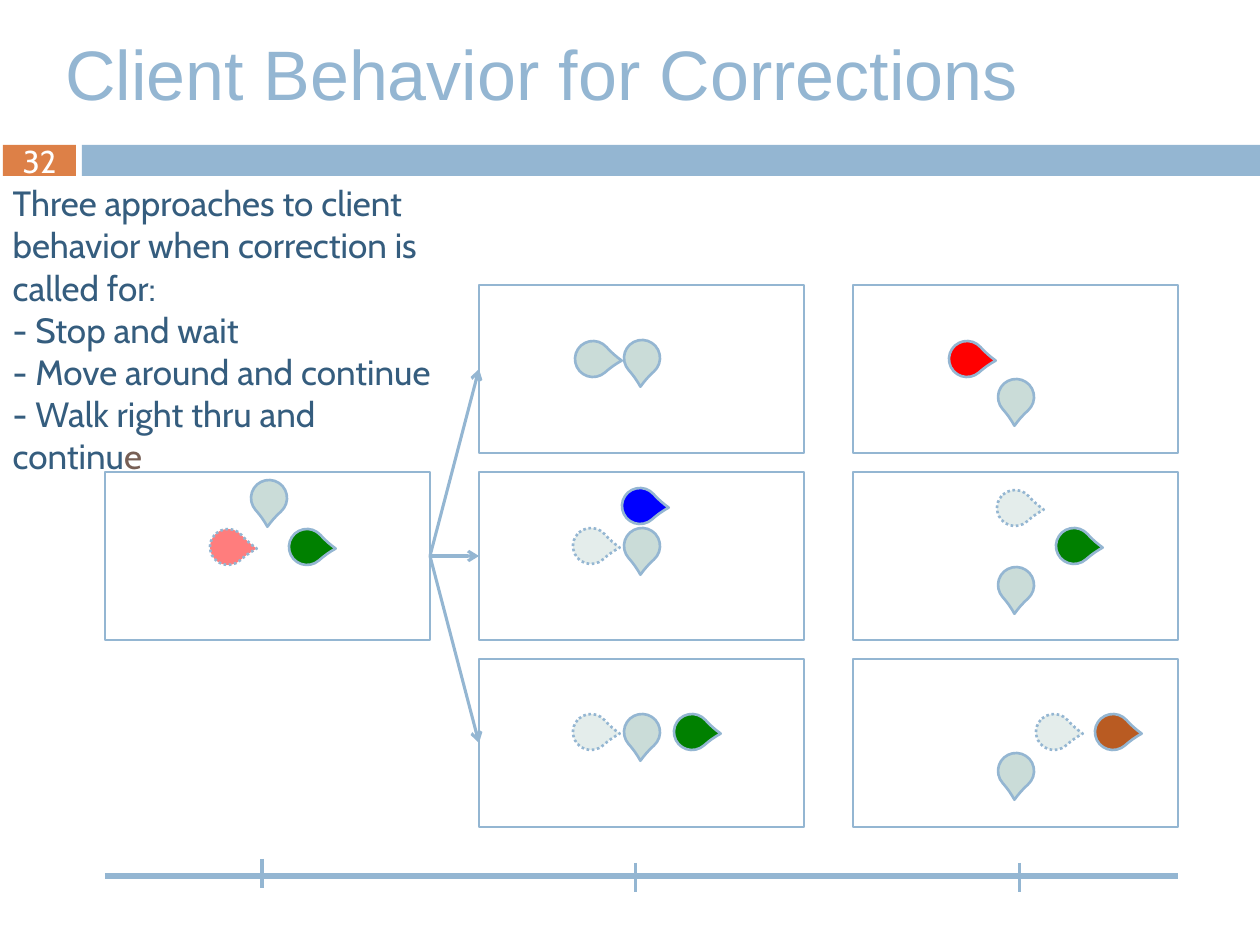
from lxml.etree import SubElement
from pptx import Presentation
from pptx.dml.color import RGBColor
from pptx.enum.dml import MSO_LINE
from pptx.enum.shapes import MSO_CONNECTOR, MSO_SHAPE
from pptx.enum.text import MSO_ANCHOR, MSO_AUTO_SIZE, PP_ALIGN
from pptx.oxml.ns import qn
from pptx.util import Emu, Pt

PX = 914400 / 126

BLUE = RGBColor(0x94, 0xB6, 0xD2)
ORANGE = RGBColor(0xDD, 0x80, 0x47)
WHITE = RGBColor(0xFF, 0xFF, 0xFF)
NAVY = RGBColor(0x35, 0x5D, 0x7E)
UMBER = RGBColor(0x77, 0x5F, 0x55)
PALE = RGBColor(0xCA, 0xDC, 0xD8)
RED = RGBColor(0xFF, 0x00, 0x00)
GREEN = RGBColor(0x00, 0x80, 0x00)
PURE_BLUE = RGBColor(0x00, 0x00, 0xFF)
BROWN = RGBColor(0xB9, 0x5B, 0x22)

HEADING = "Client Behavior for Corrections"
APPROACHES = "\v".join([
    "Three approaches to client behavior when correction is called for:",
    "- Stop and wait",
    "- Move around and continue",
    "- Walk right thru and continu",
])
LAST_LETTER = "e"

# Heading of a person, as the rotation of the teardrop
RIGHT, DOWN = 48.2, 138.2
# (column, row): people as (x, y in the panel, heading, colour, opacity %)
PANELS = {
    (0, 1): [(184, 57, RIGHT, GREEN, 100), (105, 57, RIGHT, RED, 51),
             (146, 8, DOWN, PALE, 100)],
    (1, 0): [(96, 56, RIGHT, PALE, 100), (145, 55, DOWN, PALE, 100)],
    (2, 0): [(96, 56, RIGHT, RED, 100), (145, 94, DOWN, PALE, 100)],
    (1, 1): [(145, 56, DOWN, PALE, 100), (143, 16, RIGHT, PURE_BLUE, 100),
             (94, 56, RIGHT, PALE, 50)],
    (2, 1): [(145, 95, DOWN, PALE, 100), (144, 18, RIGHT, PALE, 50),
             (203, 56, RIGHT, GREEN, 100)],
    (1, 2): [(145, 55, DOWN, PALE, 100), (195, 55, RIGHT, GREEN, 100),
             (94, 55, RIGHT, PALE, 50)],
    (2, 2): [(145, 94, DOWN, PALE, 100), (183, 55, RIGHT, PALE, 50),
             (242, 55, RIGHT, BROWN, 100)],
}
LEFT, TOP, STEP_X, STEP_Y = 105, 285, 374, 187
PANEL_W, PANEL_H = 325, 168
PERSON = 36
TIMELINE_Y = 876
TICKS = [(262, 859), (636, 863), (1020, 863)]
TICK_H = 29


def px(*values):
    return [Emu(round(v * PX)) for v in values]


def add_box(s, kind, x, y, w, h, fill=None, line_width=None):
    sp = s.shapes.add_shape(kind, *px(x, y, w, h))
    sp.shadow.inherit = False
    if fill is None:
        sp.fill.background()
    else:
        sp.fill.solid()
        sp.fill.fore_color.rgb = fill
    if line_width is None:
        sp.line.fill.background()
    else:
        sp.line.color.rgb = BLUE
        sp.line.width = Pt(line_width)
    return sp


def add_person(s, x, y, heading, color, opacity):
    sp = add_box(s, MSO_SHAPE.TEAR, x, y, PERSON, PERSON, color, 1.5)
    sp.adjustments[0] = 1.13
    sp.rotation = heading
    if opacity < 100:
        sp.line.dash_style = MSO_LINE.ROUND_DOT
        clr = sp.fill._xPr.find(qn("a:solidFill"))[0]
        SubElement(clr, qn("a:alpha"), val=str(opacity * 1000))


def add_line(s, x1, y1, x2, y2, width, arrow=False):
    cn = s.shapes.add_connector(MSO_CONNECTOR.STRAIGHT, *px(x1, y1, x2, y2))
    cn.line.color.rgb = BLUE
    cn.line.width = Pt(width)
    if arrow:
        SubElement(cn.line._get_or_add_ln(), qn("a:tailEnd"), type="arrow")
    SubElement(cn._element.spPr, qn("a:effectLst"))


def set_text(sp, text, font, size, color, align=PP_ALIGN.LEFT):
    """Fill the shape with one middle-anchored paragraph and return it."""
    tf = sp.text_frame
    tf.word_wrap = True
    tf.auto_size = MSO_AUTO_SIZE.NONE
    tf.vertical_anchor = MSO_ANCHOR.MIDDLE
    p = tf.paragraphs[0]
    p.text = text
    p.alignment = align
    for r in p.runs:
        style_run(r, font, size, color)
    return p


def style_run(r, font, size, color):
    r.font.name = font
    r.font.size = Pt(size)
    r.font.color.rgb = color


def main():
    prs = Presentation()
    prs.slide_width, prs.slide_height = px(1260, 945)
    s = prs.slides.add_slide(prs.slide_layouts[5])

    title = s.shapes.title
    title.left, title.top, title.width, title.height = px(0, 155, 461, 348)
    p = set_text(title, APPROACHES, "Cabin", 20, NAVY)
    r = p.add_run()
    r.text = LAST_LETTER
    style_run(r, "Cabin", 20, UMBER)

    heading = s.shapes.add_textbox(*px(53, 0, 1134, 145))
    set_text(heading, HEADING, "Arial", 40, BLUE)

    number = add_box(s, MSO_SHAPE.RECTANGLE, 3, 145, 73, 31, ORANGE)
    set_text(number, "32", "Cabin", 18, WHITE, PP_ALIGN.CENTER)
    add_box(s, MSO_SHAPE.RECTANGLE, 82, 145, 1178, 31, BLUE)

    for (col, row), people in PANELS.items():
        x, y = LEFT + col * STEP_X, TOP + row * STEP_Y
        add_box(s, MSO_SHAPE.RECTANGLE, x, y, PANEL_W, PANEL_H, line_width=1)
        for dx, dy, heading_angle, color, opacity in people:
            add_person(s, x + dx, y + dy, heading_angle, color, opacity)

    middle = TOP + STEP_Y + PANEL_H / 2
    for row in range(3):
        add_line(s, LEFT + PANEL_W, middle, LEFT + STEP_X,
                 middle + (row - 1) * STEP_Y, 1.75, arrow=True)

    add_line(s, LEFT, TIMELINE_Y, LEFT + 2 * STEP_X + PANEL_W, TIMELINE_Y, 4)
    for x, y in TICKS:
        add_line(s, x, y, x, y + TICK_H, 1.75)

    prs.save("out.pptx")


if __name__ == "__main__":
    main()
